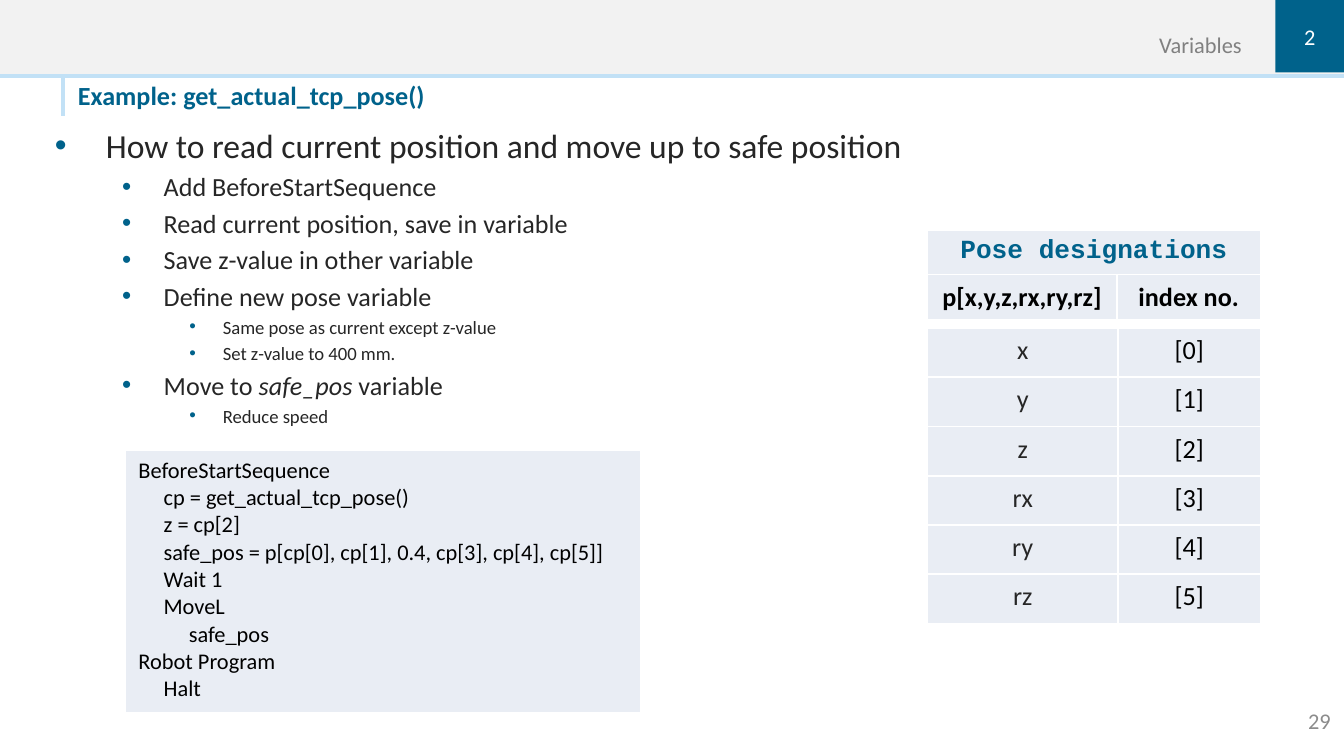
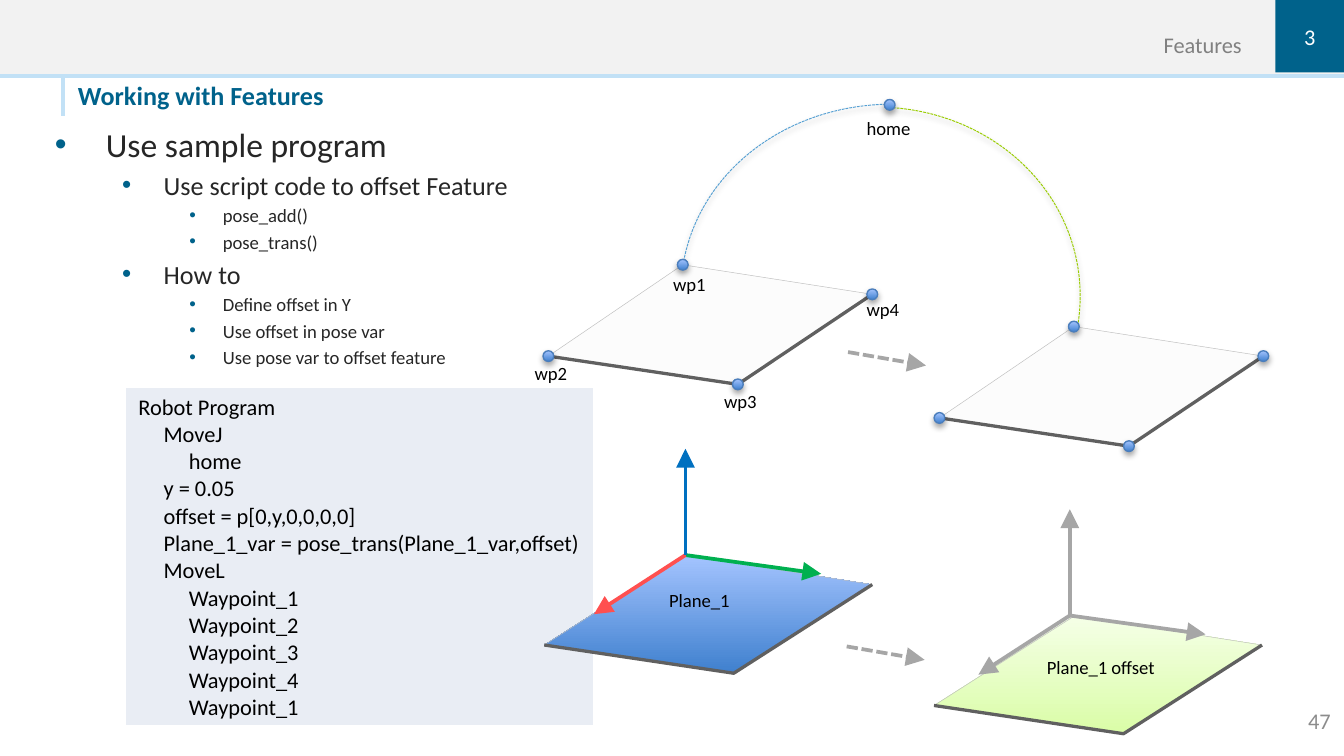
from dataclasses import dataclass

from pptx import Presentation
from pptx.dml.color import RGBColor
from pptx.enum.dml import MSO_LINE
from pptx.enum.shapes import MSO_CONNECTOR, MSO_SHAPE
from pptx.enum.text import MSO_ANCHOR, PP_ALIGN
from pptx.oxml.ns import qn
from pptx.util import Inches, Pt
from lxml import etree

RECTANGLE, OVAL, ARC = MSO_SHAPE.RECTANGLE, MSO_SHAPE.OVAL, MSO_SHAPE.ARC
STRAIGHT, SHORT_DASH = MSO_CONNECTOR.STRAIGHT, MSO_LINE.SQUARE_DOT
LEFT, CENTER, RIGHT = PP_ALIGN.LEFT, PP_ALIGN.CENTER, PP_ALIGN.RIGHT
TOP, MIDDLE, BOTTOM = MSO_ANCHOR.TOP, MSO_ANCHOR.MIDDLE, MSO_ANCHOR.BOTTOM

TEAL, PALE_BLUE, BAND, CELL = "00628B", "C2E1F6", "F2F2F2", "E9EDF4"
BLACK, WHITE, INK, GRAY, PAGE_GRAY = "000000", "FFFFFF", "262626", "808080", "8C8C8C"
ARROW_GRAY, EDGE, FAINT, PAPER = "A6A6A6", "606060", "BFBFBF", "FCFCFC"
BLUES, GREENS = ("3F80CE", "A4C4FF"), ("DAFDA7", "F5FFE7")
PAGE_WIDTH, PAGE_HEIGHT = 10, 10 * 9 / 16
DOT = 0.08

Point = tuple[float, float]
Area = tuple[float, float, float, float]


@dataclass(frozen=True)
class Style:
    size: float
    color: str = BLACK
    bold: bool = False
    font: str = "Calibri"
    align: PP_ALIGN = LEFT
    anchor: MSO_ANCHOR = TOP
    insets: Area = (0.1, 0.05, 0.1, 0.05)


@dataclass(frozen=True)
class Level:
    margin: float
    hanging: float
    size: float


@dataclass(frozen=True)
class Topic:
    """One page: its frame texts, bullets as (level, text) and code listing."""
    section: str
    chapter: str
    number: str
    title: str
    body_top: float
    bullets: tuple[tuple[int, str], ...]
    code: str
    code_area: Area


@dataclass(frozen=True)
class CurvedPath:
    area: Area
    rotation: float
    start: float
    color: str
    mirrored: bool


LEVELS = (Level(0.38, 0.38, 18), Level(0.81, 0.31, 14), Level(1.25, 0.25, 10))
FLUSH = (0, 0, 0, 0)
SECTION = Style(12, GRAY, align=RIGHT, anchor=BOTTOM, insets=FLUSH)
CHAPTER = Style(12, WHITE, align=CENTER, anchor=MIDDLE, insets=FLUSH)
NUMBER = Style(12, PAGE_GRAY, align=RIGHT, anchor=MIDDLE)
TITLE = Style(14, TEAL, bold=True, insets=(0, 0, 0, 0.04))
LABEL, CODE = Style(10), Style(12)
POSE_TITLE = Style(14, TEAL, bold=True, font="Courier New", align=CENTER)
POSE_HEAD = Style(14, bold=True, align=CENTER)
POSE_NAME, POSE_INDEX = Style(14, INK, align=CENTER), Style(14, align=CENTER)

VARIABLES = Topic(
    "Variables", "2", "29", "Example: get_actual_tcp_pose()", 0.88,
    ((0, "How to read current position and move up to safe position"),
     (1, "Add BeforeStartSequence"),
     (1, "Read current position, save in variable"),
     (1, "Save z-value in other variable"),
     (1, "Define new pose variable"),
     (2, "Same pose as current except z-value"),
     (2, "Set z-value to 400 mm."),
     (1, "Move to *safe_pos* variable"),
     (2, "Reduce speed")),
    """BeforeStartSequence
     cp = get_actual_tcp_pose()
     z = cp[2]
     safe_pos = p[cp[0], cp[1], 0.4, cp[3], cp[4], cp[5]]
     Wait 1
     MoveL
          safe_pos
Robot Program
     Halt""", (0.93, 3.35, 3.84, 1.95))

FEATURES = Topic(
    "Features", "3", "47", "Working with Features", 0.87,
    ((0, "Use sample program"),
     (1, "Use script code to offset Feature"),
     (2, "pose_add()"),
     (2, "pose_trans()"),
     (1, "How to"),
     (2, "Define offset in Y"),
     (2, "Use offset in pose var"),
     (2, "Use pose var to offset feature")),
    """Robot Program
     MoveJ
          home
     y = 0.05
     offset = p[0,y,0,0,0,0]
     Plane_1_var = pose_trans(Plane_1_var,offset)
     MoveL
          Waypoint_1
          Waypoint_2
          Waypoint_3
          Waypoint_4
          Waypoint_1""", (0.93, 2.88, 3.49, 2.52))

HOME = (6.62, 0.78)
WAYPOINTS = ((5.08, 1.97), (4.08, 2.65), (5.49, 2.86), (6.49, 2.19))
PLANE = ((5.1, 4.13), (4.05, 4.8), (5.46, 5.01), (6.49, 4.35))
WAYPOINT_SHIFT, PLANE_SHIFT = (2.91, 0.46), (2.9, 0.45)
ORIGIN, OFFSET_ORIGIN = (5.1, 4.13), (7.96, 4.58)
AXES = (((1.01, 0.14), "00B050"), ((-0.68, 0.44), "FF5050"), ((0, -0.79), "0070C0"))
SHIFT_ARROWS = ((6.31, 2.62), (6.3, 4.81))
CURVES = (CurvedPath((5.24, 0.6, 2.92, 3.28), 279.4, 162, "56A0D3", False),
          CurvedPath((5.04, 0.68, 2.88, 3.12), 80.6, 152.8, "99CC00", True))
LABELS = (("wp1", (4.91, 1.98), 0.54), ("wp2", (3.88, 2.64), 0.54),
          ("wp3", (5.29, 2.85), 0.54), ("wp4", (6.35, 2.17), 0.54),
          ("home", (6.35, 0.82), 0.54), ("Plane_1", (4.88, 4.33), 0.97),
          ("Plane_1 offset", (7.69, 4.83), 1.35))


def rgb(color: str) -> RGBColor:
    return RGBColor.from_string(color)


def lengths(values) -> list:
    return [Inches(value) for value in values]


def moved(point: Point, shift: Point) -> Point:
    return point[0] + shift[0], point[1] + shift[1]


def add_child(parent, tag: str, **attributes: str):
    child = etree.SubElement(parent, qn(tag))
    for name, value in attributes.items():
        child.set(name, value)
    return child


def write(frame, text: str, style: Style) -> None:
    frame.text = text
    for para in frame.paragraphs:
        para.alignment = style.align
        for span in para.runs:
            font = span.font
            font.name, font.size, font.bold = style.font, Pt(style.size), style.bold
            font.color.rgb = rgb(style.color)


def setup_frame(frame, style: Style) -> None:
    frame.word_wrap = True
    frame.vertical_anchor = style.anchor
    (frame.margin_left, frame.margin_top,
     frame.margin_right, frame.margin_bottom) = lengths(style.insets)


def add_text(page, area: Area, text: str, style: Style) -> None:
    frame = page.shapes.add_textbox(*lengths(area)).text_frame
    setup_frame(frame, style)
    write(frame, text, style)


def add_block(page, area: Area, color: str):
    block = page.shapes.add_shape(RECTANGLE, *lengths(area))
    block.shadow.inherit = False
    block.fill.solid()
    block.fill.fore_color.rgb = rgb(color)
    block.line.fill.background()
    return block


def add_line(page, start: Point, end: Point, color: str, width: float = 2,
             arrow: bool = False, dashed: bool = False) -> None:
    line = page.shapes.add_connector(STRAIGHT, *lengths(start + end))
    line.line.color.rgb = rgb(color)
    line.line.width = Pt(width)
    if dashed:
        line.line.dash_style = SHORT_DASH
    properties = line._element.spPr
    if arrow:
        add_child(properties.find(qn("a:ln")), "a:tailEnd", type="triangle",
                  w="lg", len="lg")
    add_child(properties, "a:effectLst")


def fill_upward(shape, colors: tuple[str, str]) -> None:
    """Fill with a gradient from the first colour at the bottom to the second."""
    shape.fill.gradient()
    shape.fill.gradient_angle = 90
    for stop, color, position in zip(shape.fill.gradient_stops, colors, (0, 1)):
        stop.color.rgb = rgb(color)
        stop.position = position


def add_soft_shadow(shape) -> None:
    shape.shadow.inherit = False
    effects = shape._element.spPr.find(qn("a:effectLst"))
    shadow = add_child(effects, "a:outerShdw", blurRad=str(Pt(3.1)), dist=str(Pt(1.8)),
                       dir="5400000", rotWithShape="0")
    add_child(add_child(shadow, "a:srgbClr", val=BLACK), "a:alpha", val="35000")


def add_bullets(page, top: float, bullets: tuple[tuple[int, str], ...]) -> None:
    frame = page.shapes.add_textbox(*lengths((0.31, top, 8.71, 2.4))).text_frame
    setup_frame(frame, LABEL)
    for index, (depth, text) in enumerate(bullets):
        level = LEVELS[depth]
        para = frame.add_paragraph() if index else frame.paragraphs[0]
        para.level = depth
        para.space_before = Pt(0.2 * level.size if index else 0)
        properties = para._p.get_or_add_pPr()
        properties.set("marL", str(Inches(level.margin)))
        properties.set("indent", str(-Inches(level.hanging)))
        add_child(add_child(properties, "a:buClr"), "a:srgbClr", val=TEAL)
        add_child(properties, "a:buFont", typeface="Arial")
        add_child(properties, "a:buChar", char="•")
        for order, part in enumerate(text.split("*")):
            span = para.add_run()
            span.text = part
            span.font.name, span.font.size = "Calibri", Pt(level.size)
            span.font.italic = order % 2 == 1
            span.font.color.rgb = rgb(INK)


def style_cell(cell, text: str, style: Style) -> None:
    write(cell.text_frame, text, style)
    properties = cell._tc.get_or_add_tcPr()
    for side in ("a:lnL", "a:lnR", "a:lnT", "a:lnB"):
        border = add_child(properties, side, w=str(Pt(1)))
        add_child(add_child(border, "a:solidFill"), "a:srgbClr", val=WHITE)
    cell.fill.solid()
    cell.fill.fore_color.rgb = rgb(CELL)


def add_grid(page, corner: Point, widths: tuple[float, ...], heights: tuple[float, ...],
             rows: list[tuple[tuple[str, Style], ...]]):
    area = (*corner, sum(widths), sum(heights))
    table = page.shapes.add_table(len(heights), len(widths), *lengths(area)).table
    for column, width in zip(table.columns, widths):
        column.width = Inches(width)
    for row, height, entries in zip(table.rows, heights, rows):
        row.height = Inches(height)
        for cell, (text, style) in zip(row.cells, entries):
            style_cell(cell, text, style)
    return table


def add_topic(deck, topic: Topic):
    page = deck.slides.add_slide(deck.slide_layouts[6])
    add_block(page, (0, 0, PAGE_WIDTH, 0.58), PALE_BLUE)
    add_block(page, (0, 0, PAGE_WIDTH, 0.55), BAND)
    add_line(page, (0.47, 0.58), (0.47, 0.86), PALE_BLUE, 2.5)
    add_text(page, (9, 5.21, 1, 0.3), topic.number, NUMBER)
    add_text(page, (5, 0, 4.24, 0.43), topic.section, SECTION)
    chapter = add_block(page, (9.49, 0, 0.51, 0.54), TEAL).text_frame
    setup_frame(chapter, CHAPTER)
    write(chapter, topic.chapter, CHAPTER)
    add_text(page, (0.58, 0.59, 4.41, 0.28), topic.title, TITLE)
    add_bullets(page, topic.body_top, topic.bullets)
    left, top, width, height = topic.code_area
    add_grid(page, (left, top), (width,), (height,), [((topic.code, CODE),)])
    return page


def add_pose_tables(page) -> None:
    names = ("x", "y", "z", "rx", "ry", "rz")
    rows = [((name, POSE_NAME), (f"[{index}]", POSE_INDEX))
            for index, name in enumerate(names)]
    add_grid(page, (6.9, 2.44), (1.42, 1.06), (2.2 / len(names),) * len(names), rows)
    header = add_grid(page, (6.9, 1.71), (1.41, 1.07), (0.31, 0.31), [
        (("Pose designations", POSE_TITLE),),
        (("p[x,y,z,rx,ry,rz]", POSE_HEAD), ("index no.", POSE_HEAD))])
    header.cell(0, 0).merge(header.cell(0, 1))


def add_outline(page, points: list[Point], close: bool):
    start, *others = [tuple(lengths(point)) for point in points]
    builder = page.shapes.build_freeform(*start)
    builder.add_line_segments(others, close=close)
    shape = builder.convert_to_shape()
    shape.shadow.inherit = False
    shape.line.color.rgb = rgb(FAINT if close else EDGE)
    shape.line.width = Pt(0.25 if close else 1.75)
    return shape


def add_plane(page, points: tuple[Point, ...], shift: Point, colors: tuple[str, str]) -> None:
    """Draw a tilted plane with dark edges along its two front sides."""
    corners = [moved(point, shift) for point in points]
    fill_upward(add_outline(page, corners, close=True), colors)
    add_outline(page, corners[1:], close=False).fill.background()


def add_curve(page, curve: CurvedPath) -> None:
    arc = page.shapes.add_shape(ARC, *lengths(curve.area))
    arc.adjustments[0], arc.adjustments[1] = curve.start, 207.6
    arc.rotation = curve.rotation
    if curve.mirrored:
        arc._element.spPr.find(qn("a:xfrm")).set("flipH", "1")
    arc.fill.background()
    arc.line.color.rgb = rgb(curve.color)
    arc.line.width = Pt(0.5)
    arc.line.dash_style = SHORT_DASH
    add_soft_shadow(arc)


def add_dot(page, center: Point) -> None:
    corner = moved(center, (-DOT / 2, -DOT / 2))
    dot = page.shapes.add_shape(OVAL, *lengths((*corner, DOT, DOT)))
    fill_upward(dot, BLUES)
    dot.line.color.rgb = rgb("4B7EBC")
    dot.line.width = Pt(0.75)
    add_soft_shadow(dot)


def add_feature_diagram(page) -> None:
    for shift, plane_colors in (((0, 0), BLUES), (PLANE_SHIFT, GREENS)):
        add_plane(page, PLANE, shift, plane_colors)
    for shift in ((0, 0), WAYPOINT_SHIFT):
        add_plane(page, WAYPOINTS, shift, (PAPER, PAPER))
    for curve in CURVES:
        add_curve(page, curve)
    for tip, color in AXES:
        add_line(page, ORIGIN, moved(ORIGIN, tip), color, arrow=True)
        add_line(page, OFFSET_ORIGIN, moved(OFFSET_ORIGIN, tip), ARROW_GRAY, arrow=True)
    for start in SHIFT_ARROWS:
        add_line(page, start, moved(start, (0.58, 0.1)), ARROW_GRAY, arrow=True, dashed=True)
    for center in (HOME, *WAYPOINTS, *(moved(point, WAYPOINT_SHIFT) for point in WAYPOINTS)):
        add_dot(page, center)
    for text, corner, width in LABELS:
        add_text(page, (*corner, width, 0.27), text, LABEL)


def main() -> None:
    deck = Presentation()
    deck.slide_width, deck.slide_height = lengths((PAGE_WIDTH, PAGE_HEIGHT))
    add_pose_tables(add_topic(deck, VARIABLES))
    add_feature_diagram(add_topic(deck, FEATURES))
    deck.save("out.pptx")


if __name__ == "__main__":
    main()
